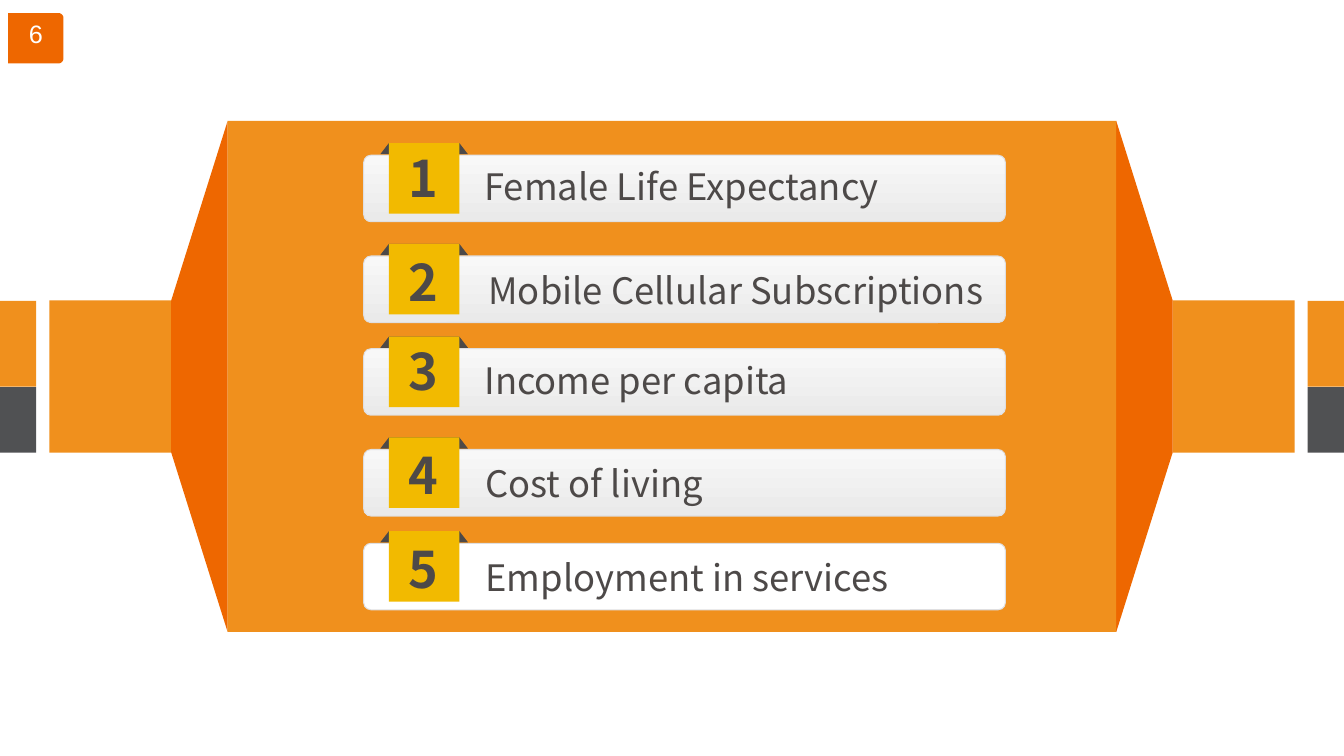
import math
from dataclasses import dataclass

import pptx
import pptx.dml.color
import pptx.enum.shapes
import pptx.enum.text
import pptx.util

COLUMNS, ROWS = 133.4, 75  # square grid cells of a tenth of an inch
CELL = pptx.util.Inches(0.1)

ORANGE, DARK_ORANGE, YELLOW = "F0901D", "EE6700", "F2BA00"
GREY, INK, WHITE = "505153", "4D4948", "FFFFFF"
BAR_EDGE, BAR_TOP, BAR_BOTTOM = "DFDFE1", "F8F8F8", "EAEAEA"
SANS = "Noto Sans CJK SC"

RECTANGLE = pptx.enum.shapes.MSO_SHAPE.RECTANGLE
ROUNDED = pptx.enum.shapes.MSO_SHAPE.ROUNDED_RECTANGLE


@dataclass(frozen=True)
class Area:
    column: float
    row: float
    width: float
    height: float

    def mirrored(self) -> "Area":
        return Area(COLUMNS - self.column - self.width, self.row, self.width, self.height)

    def lengths(self) -> list[int]:
        return [cells(n) for n in (self.column, self.row, self.width, self.height)]


@dataclass(frozen=True)
class Indicator:
    label: str
    bar_row: float
    label_column: float
    label_row: float
    label_width: float
    bar_colours: tuple[str, ...] = (BAR_TOP, BAR_BOTTOM)


@dataclass(frozen=True)
class Block:
    area: Area
    colour: str


INDICATORS = [
    Indicator("Female Life Expectancy", 15.4, 47.1, 15.8, 41.3),
    Indicator("Mobile Cellular Subscriptions", 25.4, 47.5, 26.1, 51.3),
    Indicator("Income per capita", 34.6, 47.1, 35.0, 32.7),
    Indicator("Cost of living", 44.6, 47.2, 45.3, 23.9),
    Indicator("Employment in services", 53.9, 47.2, 54.6, 42.1, (WHITE,)),
]

PANEL = Area(22.6, 12, 88.2, 50.7)
STRAP = Area(4.9, 29.8, 12.1, 15.1)
SIDE_BLOCKS = [
    Block(Area(0, 29.85, 3.6, 8.5), ORANGE),
    Block(Area(0, 38.4, 3.6, 6.5), GREY),
    Block(STRAP, ORANGE),
]


def cells(count: float) -> int:
    return round(count * CELL)


def rgb(colour: str) -> pptx.dml.color.RGBColor:
    return pptx.dml.color.RGBColor.from_string(colour)


def paint(shape, *colours: str) -> None:
    """Fill plainly with one colour, or from top to bottom with two."""
    shape.shadow.inherit = False
    shape.line.fill.background()
    if len(colours) == 1:
        shape.fill.solid()
        shape.fill.fore_color.rgb = rgb(colours[0])
        return
    shape.fill.gradient()
    shape.fill.gradient_angle = 270
    for stop, colour in zip(shape.fill.gradient_stops, colours):
        stop.color.rgb = rgb(colour)


def add_block(page, area: Area, *colours: str, preset=RECTANGLE):
    shape = page.shapes.add_shape(preset, *area.lengths())
    paint(shape, *colours)
    return shape


def add_outline(page, points: list[tuple[float, float]], colour: str):
    corners = [(cells(column), cells(row)) for column, row in points]
    builder = page.shapes.build_freeform(*corners[0])
    builder.add_line_segments(corners[1:], close=True)
    shape = builder.convert_to_shape()
    paint(shape, colour)
    return shape


def write(shape, text: str, *, size: float, font: str = SANS, colour: str = INK,
          bold: bool = False, centred: bool = False, wrap: bool = False) -> None:
    frame = shape.text_frame
    frame.word_wrap = wrap
    frame.vertical_anchor = pptx.enum.text.MSO_ANCHOR.TOP
    para = frame.paragraphs[0]
    alignment = pptx.enum.text.PP_ALIGN
    para.alignment = alignment.CENTER if centred else alignment.LEFT
    span = para.add_run()
    span.text = text
    span.font.size = pptx.util.Pt(size)
    span.font.name = font
    span.font.bold = bold
    span.font.color.rgb = rgb(colour)


def add_label(page, area: Area, text: str, **text_format) -> None:
    box = page.shapes.add_textbox(*area.lengths())
    write(box, text, **text_format)
    box.text_frame.auto_size = pptx.enum.text.MSO_AUTO_SIZE.SHAPE_TO_FIT_TEXT


def add_banner(page) -> None:
    for block in SIDE_BLOCKS:
        for area in (block.area, block.area.mirrored()):
            add_block(page, area, block.colour)
    strap_edge = STRAP.column + STRAP.width
    flap = [(PANEL.column, PANEL.row), (strap_edge, STRAP.row),
            (strap_edge, STRAP.row + STRAP.height), (PANEL.column, PANEL.row + PANEL.height)]
    add_outline(page, flap, DARK_ORANGE)
    add_outline(page, [(COLUMNS - column, row) for column, row in flap], DARK_ORANGE)
    add_block(page, PANEL, ORANGE)


def add_indicator(page, number: int, item: Indicator) -> None:
    bar = add_block(page, Area(36.1, item.bar_row, 63.7, 6.6), *item.bar_colours, preset=ROUNDED)
    bar.adjustments[0] = 0.11
    bar.line.color.rgb = rgb(BAR_EDGE)
    bar.line.width = 0
    tag = Area(38.6, item.bar_row - 1.2, 7, 7)
    right, fold_row = tag.column + tag.width, tag.row + 1.1
    add_outline(page, [(tag.column, tag.row), (right, tag.row),
                       (right + 0.85, fold_row), (tag.column - 0.85, fold_row)], INK)
    add_block(page, tag, YELLOW)
    add_label(page, Area(item.label_column, item.label_row, item.label_width, 5.4),
              item.label, size=26)
    add_label(page, Area(39.6, item.label_row - 1.7, 4.8, 7), str(number), size=36, bold=True)


def add_page_number(page, number: int) -> None:
    """Draw a tab whose two right-hand corners are rounded."""
    tab, radius = Area(0.8, 1.3, 5.5, 5), 0.5
    right, bottom = tab.column + tab.width, tab.row + tab.height
    points = [(tab.column, tab.row)]
    for centre_row, start in ((tab.row + radius, -90), (bottom - radius, 0)):
        for degrees in range(start, start + 91, 15):
            angle = math.radians(degrees)
            points.append((right - radius + radius * math.cos(angle),
                           centre_row + radius * math.sin(angle)))
    points.append((tab.column, bottom))
    shape = add_outline(page, points, DARK_ORANGE)
    write(shape, str(number), size=18, font="Arial", colour=WHITE, centred=True, wrap=True)


def main() -> None:
    deck = pptx.Presentation()
    deck.slide_width, deck.slide_height = cells(COLUMNS), cells(ROWS)
    page = deck.slides.add_slide(deck.slide_layouts[6])
    add_banner(page)
    for number, item in enumerate(INDICATORS, start=1):
        add_indicator(page, number, item)
    add_page_number(page, 6)
    deck.save("out.pptx")


if __name__ == "__main__":
    main()
